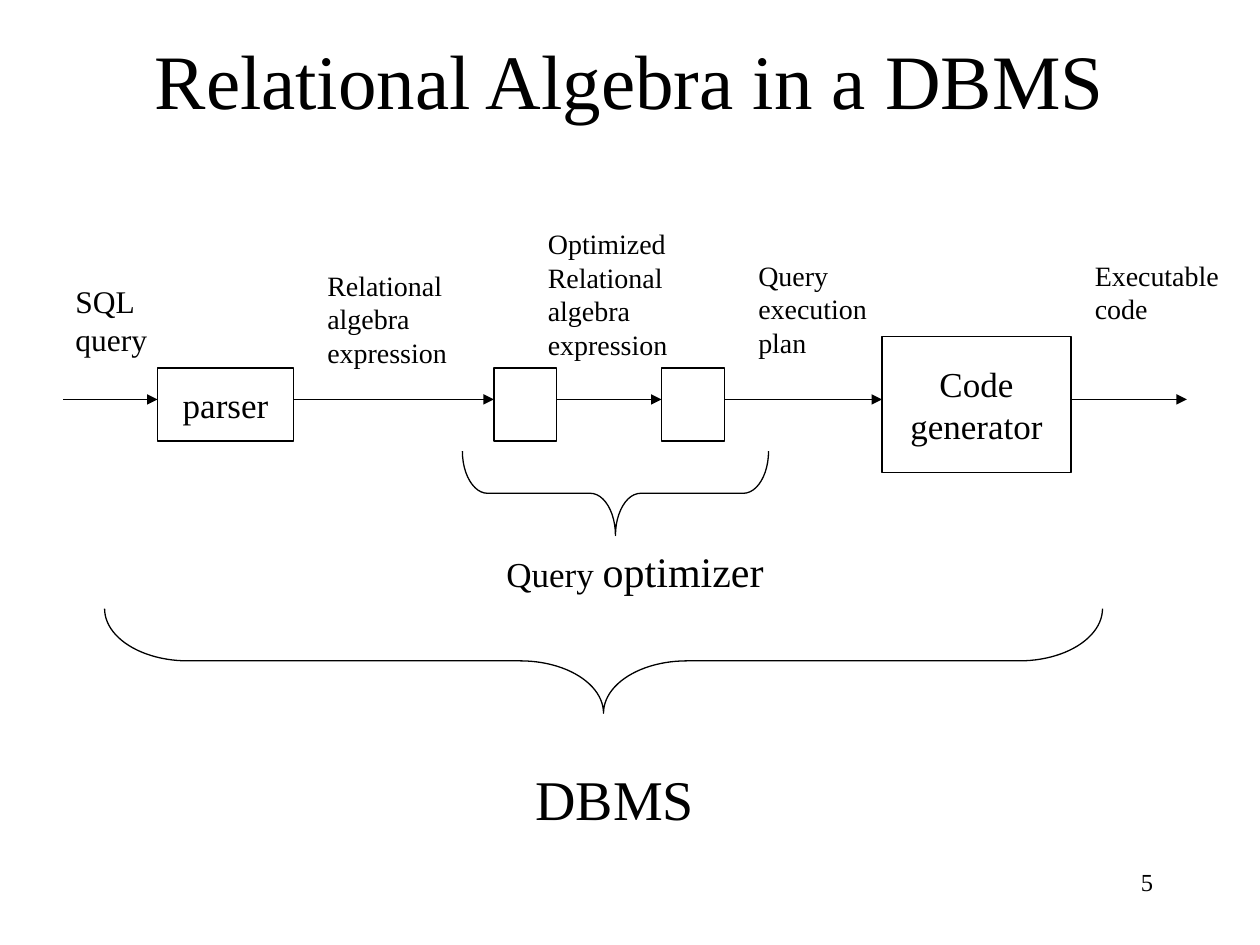
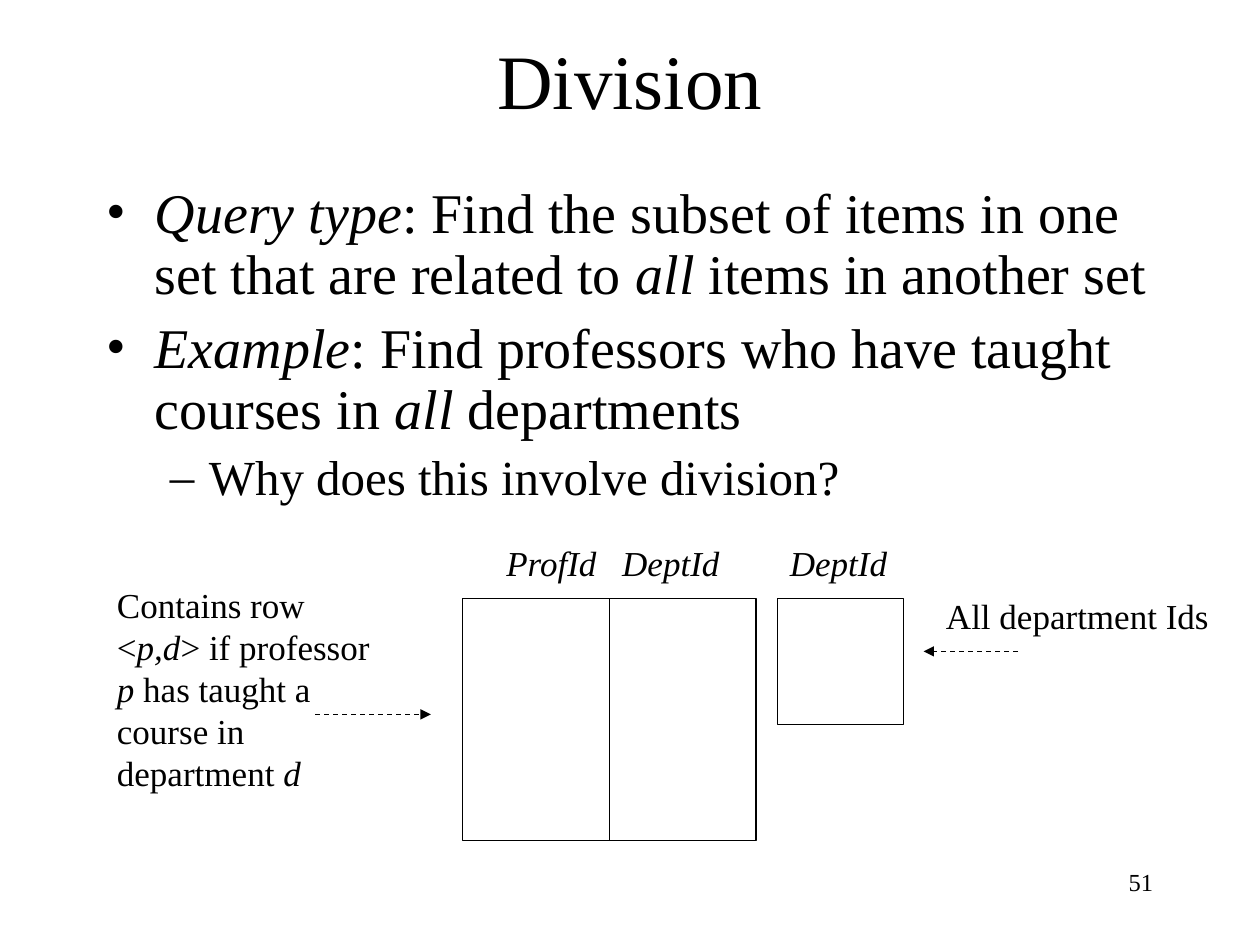
from dataclasses import dataclass
from lxml.etree import SubElement
from pptx import Presentation
from pptx.dml.color import RGBColor
from pptx.enum.dml import MSO_LINE
from pptx.enum.shapes import MSO_CONNECTOR, MSO_SHAPE
from pptx.enum.text import MSO_ANCHOR, MSO_AUTO_SIZE, PP_ALIGN
from pptx.oxml.ns import qn
from pptx.util import Inches, Pt


@dataclass(frozen=True)
class Theme:
    font: str = "Times New Roman"
    ink: RGBColor = RGBColor(0, 0, 0)
    paper: RGBColor = RGBColor(255, 255, 255)
    stroke: float = 0.75
    title: int = 44
    bullet: int = 32
    sub_bullet: int = 28
    system: int = 32
    optimizer: int = 24
    label: int = 20
    query: int = 18
    flow: int = 16
    number: int = 14


THEME = Theme()

# Shared places: left, top, width, height
TITLE_AT = (0.75, 0, 8.5, 1.25)
NUMBER_AT = (7.17, 6.83, 2.08, 0.5)

# Slide 1: the query pipeline
STAGES = [  # place, lines of text
    ((1.25, 2.92, 1.08, 0.58), ["parser"]),
    ((3.92, 2.92, 0.5, 0.58), []),
    ((5.25, 2.92, 0.5, 0.58), []),
    ((7, 2.67, 1.5, 1.08), ["Code", "generator"]),
]
FLOW_START, FLOW_END, FLOW_Y = 0.5, 9.42, 3.17
FLOW_LABELS = [  # place, size, lines of text
    ((0.5, 2.19, 0.77, 0.7), THEME.query, ["SQL", "query"]),
    ((2.5, 2.08, 1.15, 0.9), THEME.flow, ["Relational", "algebra", "expression"]),
    ((4.25, 1.75, 1.15, 1.17), THEME.flow,
     ["Optimized", "Relational", "algebra", "expression"]),
    ((5.92, 2, 1.06, 0.9), THEME.flow, ["Query", "execution", "plan"]),
    ((8.59, 2, 1.22, 0.64), THEME.flow, ["Executable", "code"]),
    ((4.15, 6.02, 1.46, 0.64), THEME.system, ["DBMS"]),
]
OPTIMIZER_AT = (3.92, 4.28, 2.24, 0.5)
BRACES = [  # left, top, width, height, length of each curve
    (3.67, 3.58, 2.43, 0.67, 0.2),
    (0.83, 4.83, 7.92, 0.83, 0.66),
]

# Slide 2: division (*…* marks italics)
BODY_AT = (0.75, 1.42, 8.67, 2.83)
POINTS = [  # level, text
    (0, "*Query type*: Find the subset of items in one set that are related to "
        "*all* items in another set"),
    (0, "*Example*: Find professors who have taught courses in *all* departments"),
    (1, "Why does this involve division?"),
]
LEVELS = [  # bullet, size, left margin, hanging indent, space before
    ("•", THEME.bullet, 0.38, 0.38, 8),
    ("–", THEME.sub_bullet, 0.81, 0.31, 7),
]
TAUGHT_AT = (3.67, 4.75, 2.33, 1.92)
DEPARTMENTS_AT = (6.17, 4.75, 1, 1)
DIVISION_LABELS = [
    ((3.92, 4.25, 0.92, 0.44), ["*ProfId*"]),
    ((4.84, 4.25, 0.97, 0.44), ["*DeptId*"]),
    ((6.17, 4.25, 0.97, 0.44), ["*DeptId*"]),
    ((7.41, 4.67, 2.34, 0.44), ["All department Ids"]),
    ((0.83, 4.58, 2.26, 1.77),
     ["Contains row", "<*p,d*> if professor", "*p* has taught a",
      "course in", "department *d*"]),
]
POINTERS = [(2.5, 3.42, 5.67), (8.08, 7.33, 5.17)]  # from x, to x, y


def place(box):
    return [Inches(length) for length in box]


def fill_paragraph(paragraph, text, size, marked_size=None):
    """Text between asterisks is italic, or larger when marked_size is given."""
    font = paragraph.font
    font.name, font.size = THEME.font, Pt(size)
    font.color.rgb = THEME.ink
    parts = text.split("*")
    all_italic = marked_size is None and len(parts) == 3 and not (parts[0] or parts[2])
    if all_italic:
        font.italic = True
    for index, part in enumerate(parts):
        if not part:
            continue
        run = paragraph.add_run()
        run.text = part
        if index % 2 and marked_size:
            run.font.size = Pt(marked_size)
        elif index % 2 and not all_italic:
            run.font.italic = True


def write(frame, lines, size, align=PP_ALIGN.LEFT, marked_size=None):
    for index, line in enumerate(lines):
        paragraph = frame.add_paragraph() if index else frame.paragraphs[0]
        paragraph.alignment = align
        fill_paragraph(paragraph, line, size, marked_size)


def add_text(slide, box, lines, size, align=PP_ALIGN.LEFT, wrap=False, marked_size=None):
    frame = slide.shapes.add_textbox(*place(box)).text_frame
    frame.word_wrap = wrap
    frame.auto_size = MSO_AUTO_SIZE.NONE if wrap else MSO_AUTO_SIZE.SHAPE_TO_FIT_TEXT
    write(frame, lines, size, align, marked_size)
    return frame


def outline(shape):
    shape.line.color.rgb = THEME.ink
    shape.line.width = Pt(THEME.stroke)


def add_box(slide, box, lines=()):
    rectangle = slide.shapes.add_shape(MSO_SHAPE.RECTANGLE, *place(box))
    rectangle.shadow.inherit = False
    rectangle.fill.solid()
    rectangle.fill.fore_color.rgb = THEME.paper
    outline(rectangle)
    frame = rectangle.text_frame
    frame.word_wrap = False
    frame.vertical_anchor = MSO_ANCHOR.MIDDLE
    write(frame, lines, THEME.label, PP_ALIGN.CENTER)


def add_brace(slide, left, top, width, height, curve):
    # A left brace turned to point down: its own width is the drawn height
    own_left = left + (width - height) / 2
    own_top = top + (height - width) / 2
    brace = slide.shapes.add_shape(
        MSO_SHAPE.LEFT_BRACE, *place((own_left, own_top, height, width)))
    brace.rotation = 270
    brace.adjustments[0] = curve / height
    brace.shadow.inherit = False
    brace.fill.background()
    outline(brace)


def add_line(slide, start, end, arrow=True, dashed=False):
    line = slide.shapes.add_connector(
        MSO_CONNECTOR.STRAIGHT, *place(start), *place(end))
    outline(line)
    if dashed:
        line.line.dash_style = MSO_LINE.DASH
    if arrow:
        SubElement(line.line._get_or_add_ln(), qn("a:tailEnd"), type="triangle")
    SubElement(line._element.spPr, qn("a:effectLst"))


def add_points(slide):
    frame = slide.shapes.add_textbox(*place(BODY_AT)).text_frame
    frame.word_wrap = True
    for index, (level, text) in enumerate(POINTS):
        bullet, size, margin, hang, before = LEVELS[level]
        paragraph = frame.add_paragraph() if index else frame.paragraphs[0]
        paragraph.level = level
        properties = paragraph._p.get_or_add_pPr()
        properties.set("marL", str(Inches(margin)))
        properties.set("indent", str(-Inches(hang)))
        SubElement(properties, qn("a:buFont"), typeface=THEME.font)
        SubElement(properties, qn("a:buChar"), char=bullet)
        paragraph.line_spacing = 0.9
        if index:
            paragraph.space_before = Pt(before)
        fill_paragraph(paragraph, text, size)


def start_slide(deck, title, number):
    slide = deck.slides.add_slide(deck.slide_layouts[6])
    slide.background.fill.solid()
    slide.background.fill.fore_color.rgb = THEME.paper
    heading = add_text(slide, TITLE_AT, [title], THEME.title, PP_ALIGN.CENTER, wrap=True)
    heading.vertical_anchor = MSO_ANCHOR.MIDDLE
    add_text(slide, NUMBER_AT, [number], THEME.number, PP_ALIGN.RIGHT, wrap=True)
    return slide


def build_pipeline(deck):
    slide = start_slide(deck, "Relational Algebra in a DBMS", "5")
    for box, lines in STAGES:
        add_box(slide, box, lines)
    # Arrows run from each right edge to the next left edge
    starts = [FLOW_START] + [box[0] + box[2] for box, _ in STAGES]
    ends = [box[0] for box, _ in STAGES] + [FLOW_END]
    for start, end in zip(starts, ends):
        add_line(slide, (start, FLOW_Y), (end, FLOW_Y))
    for box, size, lines in FLOW_LABELS:
        add_text(slide, box, lines, size)
    add_text(slide, OPTIMIZER_AT, ["Query *optimizer*"], THEME.label,
             marked_size=THEME.optimizer)
    for brace in BRACES:
        add_brace(slide, *brace)


def build_division(deck):
    slide = start_slide(deck, "Division", "51")
    add_points(slide)
    # The two relations, the first split into two columns
    add_box(slide, TAUGHT_AT)
    add_box(slide, DEPARTMENTS_AT)
    left, top, width, height = TAUGHT_AT
    middle = left + width / 2
    add_line(slide, (middle, top), (middle, top + height), arrow=False)
    # Column names, remarks and their pointers
    for box, lines in DIVISION_LABELS:
        add_text(slide, box, lines, THEME.label)
    for start, end, y in POINTERS:
        add_line(slide, (start, y), (end, y), dashed=True)


def main():
    deck = Presentation()
    deck.slide_width, deck.slide_height = Inches(10), Inches(7.5)
    build_pipeline(deck)
    build_division(deck)
    deck.save("out.pptx")


if __name__ == "__main__":
    main()
